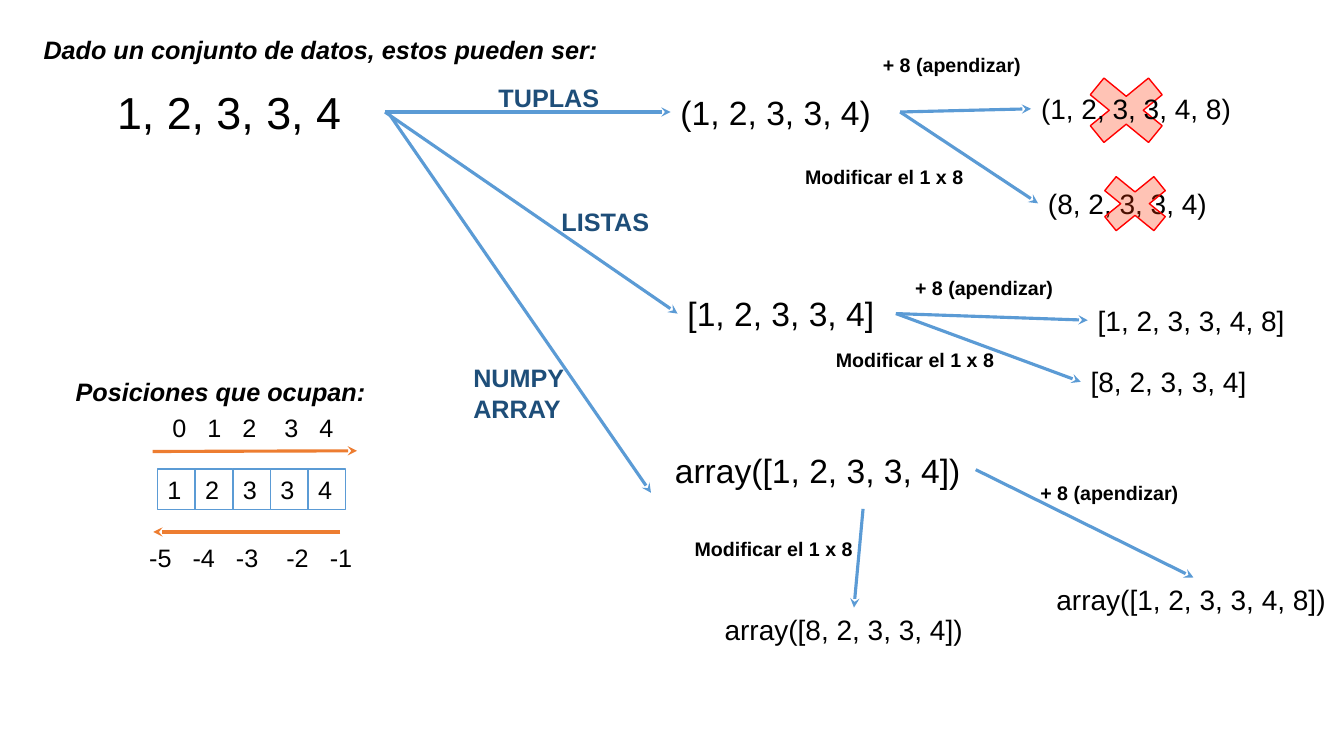
from lxml import etree
from pptx import Presentation
from pptx.dml.color import RGBColor
from pptx.enum.shapes import MSO_CONNECTOR, MSO_SHAPE
from pptx.enum.text import PP_ALIGN
from pptx.oxml.ns import qn
from pptx.util import Pt

STRAIGHT = MSO_CONNECTOR.STRAIGHT
RECTANGLE = MSO_SHAPE.RECTANGLE
MULTIPLY = MSO_SHAPE.MATH_MULTIPLY
LEFT = PP_ALIGN.LEFT

TOP_SIDE, LEFT_SIDE, RIGHT_SIDE = 0, 1, 3
FONT = "Arial"
BLACK, WHITE, NAVY = "000000", "FFFFFF", "1E4E79"
BLUE, ORANGE, RED, CROSS_RED = "5B9BD5", "ED7D31", "FF0000", "FF3300"
APPEND, MODIFY = "+ 8 (apendizar)", "Modificar el 1 x 8"


def rgb(color):
    return RGBColor.from_string(color)


def write(tf, text, size, color=BLACK, bold=False, italic=False):
    tf.word_wrap = True
    p = tf.paragraphs[0]
    p.alignment = LEFT
    r = p.add_run()
    r.text = text
    r.font.name = FONT
    r.font.size = Pt(size)
    r.font.bold = bold
    r.font.italic = italic
    r.font.color.rgb = rgb(color)
    return p


def add_text(s, x, y, w, h, text, size, **style):
    sp = s.shapes.add_textbox(Pt(x), Pt(y), Pt(w), Pt(h))
    write(sp.text_frame, text, size, **style)
    return sp


def add_box(s, kind, x, y, w, h, fill, line):
    sp = s.shapes.add_shape(kind, Pt(x), Pt(y), Pt(w), Pt(h))
    sp.shadow.inherit = False
    sp.fill.solid()
    sp.fill.fore_color.rgb = rgb(fill)
    sp.line.color.rgb = rgb(line)
    sp.line.width = Pt(1)
    return sp


def add_arrow(s, x1, y1, x2, y2, color=BLUE):
    arrow = s.shapes.add_connector(STRAIGHT, Pt(x1), Pt(y1), Pt(x2), Pt(y2))
    arrow.line.color.rgb = rgb(color)
    arrow.line.width = Pt(2.25)
    ln = arrow.line._get_or_add_ln()
    etree.SubElement(ln, qn("a:tailEnd"), type="stealth")
    etree.SubElement(arrow._element.spPr, qn("a:effectLst"))
    return arrow


def add_cross(s, x, y, w, h):
    sp = add_box(s, MULTIPLY, x, y, w, h, CROSS_RED, RED)
    color = sp._element.spPr.find(qn("a:solidFill"))[0]
    etree.SubElement(color, qn("a:alpha"), val="29000")


def add_index_row(s, x, y, w, labels, stops):
    sp = add_text(s, x, y, w, 29, "\t".join(labels), 18)
    pPr = sp.text_frame.paragraphs[0]._p.get_or_add_pPr()
    tabs = etree.SubElement(pPr, qn("a:tabLst"))
    for stop in stops:
        etree.SubElement(tabs, qn("a:tab"), pos=str(Pt(stop)), algn="l")


def add_positions(s, x, y):
    add_text(s, x, y, 269, 29, "Posiciones que ocupan:", 18, bold=True, italic=True)
    add_index_row(s, x + 69, y + 26, 156, "01234", (25, 50, 80, 105))
    add_arrow(s, x + 62, y + 57.5, x + 208, y + 57, ORANGE)
    cell = 26.9
    for i, value in enumerate("12334"):
        sp = add_box(s, RECTANGLE, x + 65.5 + i * cell, y + 70, cell, 29, WHITE, BLUE)
        write(sp.text_frame, value, 18)
    add_arrow(s, x + 196, y + 115, x + 62.5, y + 115, ORANGE)
    negatives = ("-5", "-4", "-3", "-2", "-1")
    add_index_row(s, x + 52.5, y + 119, 160, negatives, (31, 62, 98, 129))


def add_result(s, x, y, source, text, place, label, label_place,
               end_side=LEFT_SIDE, start=None):
    dx, dy, w = place
    result = add_text(s, x + dx, y + dy, w, 31.5, text, 20)
    label_dx, label_dy = label_place
    add_text(s, x + label_dx, y + label_dy, 167, 24.5, label, 14, bold=True)
    start_dx, start_dy = start or (0, 0)
    arrow = add_arrow(s, x + start_dx, y + start_dy, x + dx, y + dy)
    if start is None:
        arrow.begin_connect(source, RIGHT_SIDE)
    arrow.end_connect(result, end_side)


def add_tuples(s, x, y):
    source = add_text(s, x, y, 164, 36, "(1, 2, 3, 3, 4)", 24)
    add_cross(s, x + 285.5, y - 16, 80, 65.5)
    add_result(s, x, y, source, "(1, 2, 3, 3, 4, 8)", (257.5, 0, 243),
               APPEND, (144.5, -27.5))
    add_result(s, x, y, source, "(8, 2, 3, 3, 4)", (262.5, 67.5, 142.5),
               MODIFY, (89, 52))
    add_cross(s, x + 298, y + 56, 67.5, 55)
    return source


def add_lists(s, x, y):
    source = add_text(s, x, y, 156, 36, "[1, 2, 3, 3, 4]", 24)
    add_result(s, x, y, source, "[1, 2, 3, 3, 4, 8]", (293, 7, 171),
               APPEND, (162.5, -12.5))
    add_result(s, x, y, source, "[8, 2, 3, 3, 4]", (288, 51, 199),
               MODIFY, (106, 39))
    return source


def add_arrays(s, x, y):
    source = add_text(s, x, y, 222, 36, "array([1, 2, 3, 3, 4])", 24)
    add_result(s, x, y, source, "array([1, 2, 3, 3, 4, 8])", (272.5, 95, 210),
               APPEND, (261, 22.5), TOP_SIDE)
    add_result(s, x, y, source, "array([8, 2, 3, 3, 4])", (35.5, 116.5, 199),
               MODIFY, (14, 62.5), TOP_SIDE, (141.5, 46))


def add_data(s, x, y, tuples, lists):
    add_text(s, x, y, 420, 29, "Dado un conjunto de datos, estos pueden ser:", 18,
             bold=True, italic=True)
    data = add_text(s, x + 52.5, y + 36, 198.5, 46, "1, 2, 3, 3, 4", 32)
    for target in (tuples, lists):
        arrow = add_arrow(s, x + 251, y + 59, x + 455, y + 59)
        arrow.begin_connect(data, RIGHT_SIDE)
        arrow.end_connect(target, LEFT_SIDE)
    add_arrow(s, x + 253, y + 59, x + 441, y + 331)
    for name, dx, dy, w, h in (("TUPLAS", 325, 34, 108, 29),
                               ("LISTAS", 370, 123, 95, 29),
                               ("NUMPY ARRAY", 307, 234.5, 81.5, 51)):
        add_text(s, x + dx, y + dy, w, h, name, 18, color=NAVY, bold=True)


def main():
    prs = Presentation()
    prs.slide_width, prs.slide_height = Pt(960), Pt(540)
    s = prs.slides.add_slide(prs.slide_layouts[6])
    tuples = add_tuples(s, 479, 62)
    lists = add_lists(s, 484, 206)
    add_arrays(s, 475, 317.5)
    add_data(s, 24, 21, tuples, lists)
    add_positions(s, 47, 265)
    prs.save("out.pptx")


if __name__ == "__main__":
    main()
